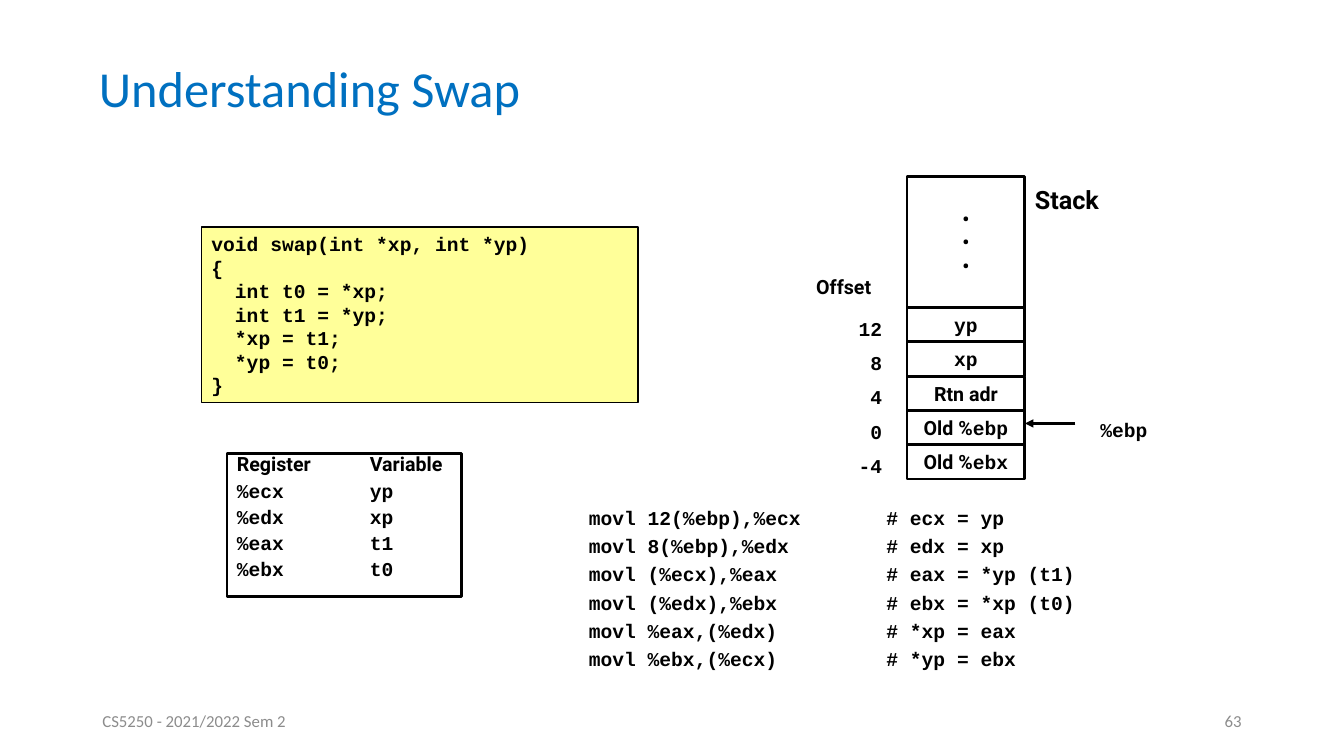
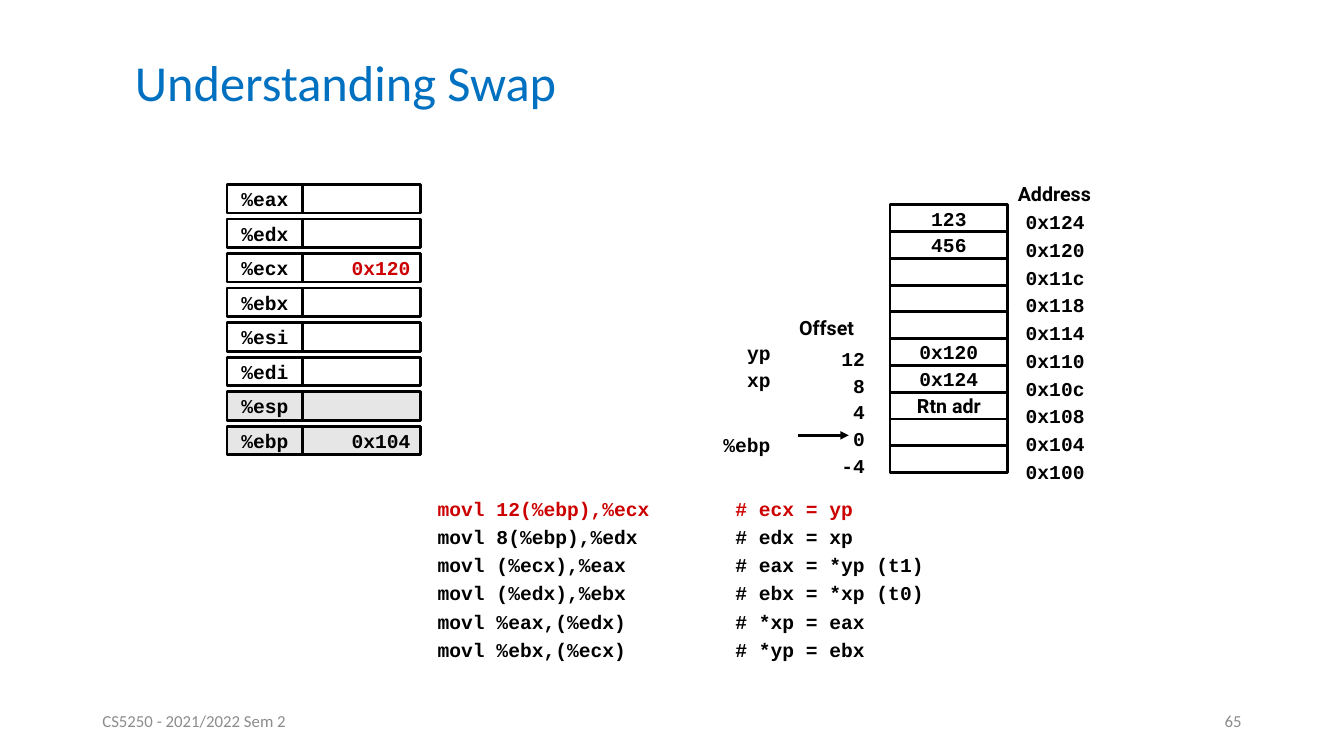
from dataclasses import dataclass, replace

from lxml.etree import SubElement
from pptx import Presentation
from pptx.dml.color import RGBColor
from pptx.enum.shapes import MSO_CONNECTOR, MSO_SHAPE
from pptx.enum.text import MSO_ANCHOR as Anchor, MSO_AUTO_SIZE, PP_ALIGN as Align
from pptx.oxml.ns import qn
from pptx.util import Cm, Pt


@dataclass(frozen=True)
class Style:
    name: str
    size: int
    color: str
    bold: bool = True


class Theme:
    black, white, yellow, grey = "000000", "FFFFFF", "FFFF99", "E7E6E6"
    code = Style("Courier New", 14, black)
    active = replace(code, color="CC0000")
    label = Style("Roboto", 14, black)
    heading = replace(label, size=18)
    title = Style("Calibri", 36, "0070C0", False)
    footer = Style("Calibri", 12, "8C8C8C", False)
    border, thin = 2, 1
    pad_x, pad_y = 0.25, 0.13


# Content; positions and sizes are in centimetres
TITLE = "Understanding Swap"
FOOTER = "CS5250 - 2021/2022 Sem 2"

SWAP_SOURCE = [
    "void swap(int *xp, int *yp)",
    "{",
    "  int t0 = *xp;",
    "  int t1 = *yp;",
    "  *xp = t1;",
    "  *yp = t0;",
    "}",
]
ASSEMBLY = [
    ("movl 12(%ebp),%ecx", "# ecx = yp"),
    ("movl 8(%ebp),%edx", "# edx = xp"),
    ("movl (%ecx),%eax", "# eax = *yp (t1)"),
    ("movl (%edx),%ebx", "# ebx = *xp (t0)"),
    ("movl %eax,(%edx)", "# *xp = eax"),
    ("movl %ebx,(%ecx)", "# *yp = ebx"),
]
REGISTER_VARIABLES = [("%ecx", "yp"), ("%edx", "xp"), ("%eax", "t1"), ("%ebx", "t0")]
OFFSETS = ["12", "8", "4", "0", "-4"]
RETURN_ADDRESS = [("Rtn adr", Theme.label)]


def saved(register):
    return [("Old %", Theme.label), (register, Theme.code)]


FRAME = ["yp", "xp", RETURN_ADDRESS, saved("ebp"), saved("ebx")]
MEMORY = ["123", "456", "", "", "", "0x120", "0x124", RETURN_ADDRESS, "", ""]
ADDRESSES = ["0x124", "0x120", "0x11c", "0x118", "0x114",
             "0x110", "0x10c", "0x108", "0x104", "0x100"]
ARGUMENTS = ["yp", "xp"]
REGISTERS = [
    ("%eax", ""), ("%edx", ""), ("%ecx", "0x120"), ("%ebx", ""),
    ("%esi", ""), ("%edi", ""), ("%esp", ""), ("%ebp", "0x104"),
]
LOADED_REGISTER = "%ecx"
POINTER_REGISTERS = ("%esp", "%ebp")

STACK_WIDTH = 2.97
LABEL_HEIGHT = 0.86


def rgb(color):
    return RGBColor.from_string(color)


def write(frame, lines, style=Theme.code, anchor=Anchor.TOP, pad_x=Theme.pad_x,
          pad_y=Theme.pad_y, tabs=(), **paragraph_format):
    """Fill a frame; each line is a string or a list of (text, style) runs."""
    settings = dict(word_wrap=True, auto_size=MSO_AUTO_SIZE.NONE, vertical_anchor=anchor,
                    margin_left=Cm(pad_x), margin_right=Cm(pad_x),
                    margin_top=Cm(pad_y), margin_bottom=Cm(pad_y))
    for key, value in settings.items():
        setattr(frame, key, value)
    gap = paragraph_format.pop("space_before", None)
    for index, line in enumerate(lines):
        paragraph = frame.add_paragraph() if index else frame.paragraphs[0]
        if tabs:
            stops = SubElement(paragraph._p.get_or_add_pPr(), qn("a:tabLst"))
            for stop in tabs:
                SubElement(stops, qn("a:tab"), pos=str(Cm(stop)), algn="l")
        for key, value in paragraph_format.items():
            setattr(paragraph, key, value)
        if gap and index:
            paragraph.space_before = gap
        for text, look in [(line, style)] if isinstance(line, str) else line:
            run = paragraph.add_run()
            run.text = text
            for key, value in dict(name=look.name, size=Pt(look.size), bold=look.bold).items():
                setattr(run.font, key, value)
            run.font.color.rgb = rgb(look.color)


def add_text(slide, box, lines, style=Theme.code, **options):
    write(slide.shapes.add_textbox(*map(Cm, box)).text_frame, lines, style, **options)


def add_box(slide, box, lines=(), fill=Theme.white, border=Theme.border, **options):
    rect = slide.shapes.add_shape(MSO_SHAPE.RECTANGLE, *map(Cm, box))
    rect.shadow.inherit = False
    rect.fill.solid()
    rect.fill.fore_color.rgb = rgb(fill)
    rect.line.color.rgb = rgb(Theme.black)
    rect.line.width = Pt(border)
    if any(lines):
        write(rect.text_frame, lines, **{"alignment": Align.LEFT, **options})


def add_cell(slide, box, lines, alignment=Align.CENTER, **options):
    add_box(slide, box, lines, anchor=Anchor.MIDDLE, pad_y=0, alignment=alignment, **options)


def add_column(slide, left, top, width, pitch, labels, **options):
    for row, text in enumerate(labels):
        add_text(slide, (left, top + row * pitch, width, LABEL_HEIGHT), [text], **options)


def add_arrow(slide, start, end, y):
    arrow = slide.shapes.add_connector(MSO_CONNECTOR.STRAIGHT, Cm(start), Cm(y), Cm(end), Cm(y))
    arrow.line.color.rgb = rgb(Theme.black)
    arrow.line.width = Pt(Theme.border)
    SubElement(arrow.line._get_or_add_ln(), qn("a:tailEnd"), type="triangle")
    SubElement(arrow._element.spPr, qn("a:effectLst"))


def add_stack(slide, left, top, row_height, rows, offsets_top, heading_top):
    """Draw the stack cells with the frame offsets to their left."""
    for row, content in enumerate(rows):
        add_cell(slide, (left, top + row * row_height, STACK_WIDTH, row_height), [content])
    add_text(slide, (left - 2.54, heading_top, 2.2, LABEL_HEIGHT), ["Offset"], Theme.label)
    add_column(slide, left - 1.88, offsets_top, 1.5, row_height, OFFSETS,
               alignment=Align.RIGHT)


def add_assembly(slide, box, active=None):
    lines = [[(f"\t{command}\t{comment}", Theme.active if row == active else Theme.code)]
             for row, (command, comment) in enumerate(ASSEMBLY)]
    add_text(slide, box, lines, tabs=(1.25, 8.75), line_spacing=1.2)


def start_slide(deck, number, title_box):
    slide = deck.slides.add_slide(deck.slide_layouts[5])
    title = slide.shapes.title
    title.left, title.top, title.width, title.height = map(Cm, title_box)
    write(title.text_frame, [TITLE], Theme.title, Anchor.MIDDLE,
          alignment=Align.LEFT, line_spacing=0.9)
    for left, text, alignment in ((2.33, FOOTER, Align.LEFT), (23.92, number, Align.RIGHT)):
        add_text(slide, (left, 17.65, 7.62, 1.02), [text], Theme.footer,
                 anchor=Anchor.MIDDLE, alignment=alignment)
    return slide


def build_overview(deck):
    slide = start_slide(deck, "63", (2.24, 1.14, 21.46, 2.34))
    add_box(slide, (5.08, 5.72, 11, 4.42), SWAP_SOURCE, Theme.yellow, Theme.thin)
    add_assembly(slide, (13.34, 12.5, 14.6, 4.55))

    variables = [[("Register\tVariable", Theme.label)]]
    variables += ["\t".join(pair) for pair in REGISTER_VARIABLES]
    add_box(slide, (5.72, 11.43, 5.92, 3.61), variables, tabs=(3.35,),
            line_spacing=0.7, space_before=Pt(7))

    left, top, older_height = 22.86, 4.45, 3.3
    add_text(slide, (left + STACK_WIDTH, 4.52, 2.24, 1.02), ["Stack"], Theme.heading)
    add_cell(slide, (left, top, STACK_WIDTH, older_height), ["•"] * 3, style=Theme.label)
    add_stack(slide, left, top + older_height, 4.32 / len(FRAME), FRAME, 7.85, 6.81)
    add_arrow(slide, 27.1, left + STACK_WIDTH, 10.67)
    add_text(slide, (27.48, 10.39, 1.9, LABEL_HEIGHT), ["%ebp"])


def build_first_load(deck):
    slide = start_slide(deck, "65", (3.15, 0.97, 21.26, 2.34))
    add_assembly(slide, (9.53, 12.27, 16.5, 4.55), active=0)

    left, top, row_height = 22.43, 5.16, 6.75 / len(MEMORY)
    add_stack(slide, left, top, row_height, MEMORY, 8.61, 7.82)
    add_text(slide, (left + STACK_WIDTH, 4.45, 2.51, LABEL_HEIGHT), ["Address"], Theme.label)
    add_column(slide, 25.6, top, 3.38, 0.7, ADDRESSES)
    add_column(slide, 18.21, 8.53, 1.83, row_height, ARGUMENTS, pad_x=Theme.pad_y,
               alignment=Align.CENTER, line_spacing=0.9)
    add_text(slide, (17.98, 10.77, 1.9, LABEL_HEIGHT), ["%ebp"])
    add_arrow(slide, 20.12, 21.39, 10.97)

    name_left, name_width, value_width = 5.72, 1.91, 2.97
    for row, (register, value) in enumerate(REGISTERS):
        y, height = 4.65 + row * 0.87, 0.72
        fill = Theme.grey if register in POINTER_REGISTERS else Theme.white
        style = Theme.active if register == LOADED_REGISTER else Theme.code
        add_cell(slide, (name_left, y, name_width, height), [register], fill=fill)
        add_cell(slide, (name_left + name_width, y, value_width, height), [value],
                 Align.RIGHT, fill=fill, style=style)


def main():
    deck = Presentation()
    deck.slide_width, deck.slide_height = Cm(33.87), Cm(19.05)
    build_overview(deck)
    build_first_load(deck)
    deck.save("out.pptx")


if __name__ == "__main__":
    main()
